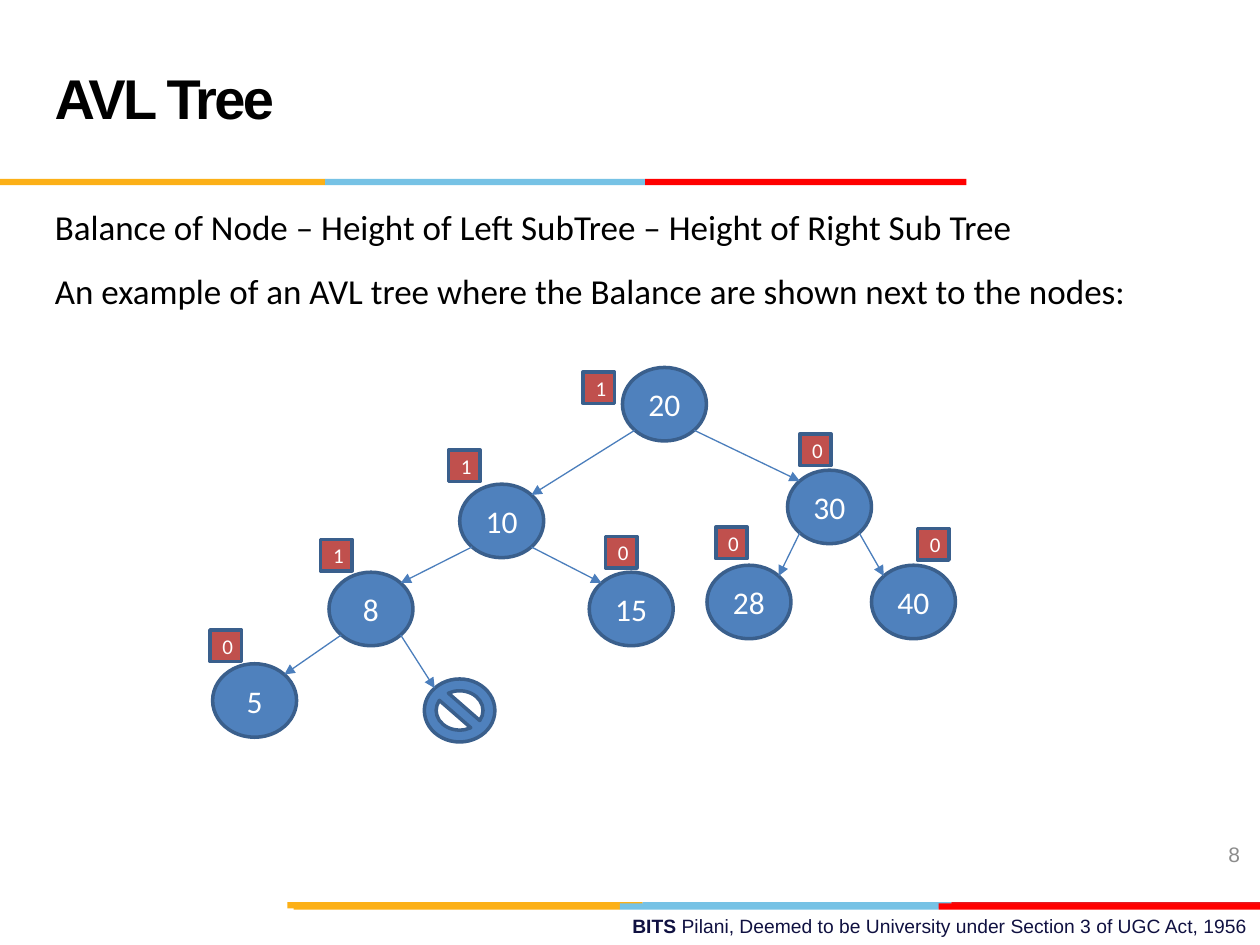
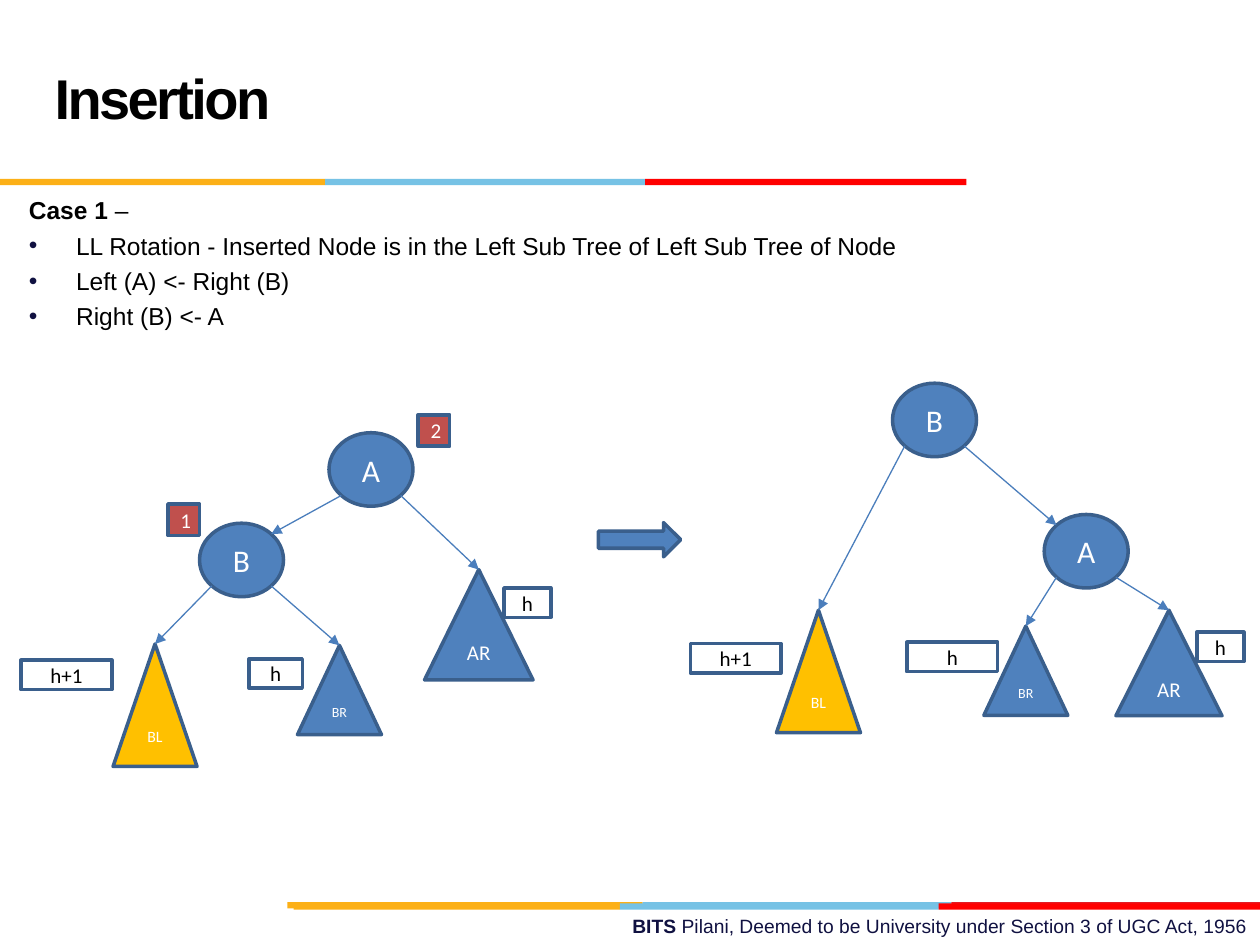
import math

import lxml.etree
import pptx
import pptx.dml.color
import pptx.enum.shapes
import pptx.enum.text
import pptx.oxml.ns
import pptx.util

Pt = pptx.util.Pt
RGB = pptx.dml.color.RGBColor
FORM = pptx.enum.shapes.MSO_SHAPE
ALIGN = pptx.enum.text.PP_ALIGN
ANCHOR = pptx.enum.text.MSO_ANCHOR
qn = pptx.oxml.ns.qn

BLACK = RGB(0, 0, 0)
WHITE = RGB(255, 255, 255)
NAVY = RGB(0x10, 0x11, 0x41)
GREY = RGB(0x8C, 0x8C, 0x8C)
BLUE = RGB(0x4F, 0x81, 0xBD)
EDGE = RGB(0x3A, 0x5F, 0x8C)
ARROW = RGB(0x4B, 0x7E, 0xBC)
BRICK = RGB(0xC0, 0x50, 0x4D)
GOLD = RGB(0xFF, 0xC0, 0x00)
ORANGE = RGB(0xFC, 0xB0, 0x17)
SKY = RGB(0x76, 0xC2, 0xE5)
RED = RGB(0xFF, 0, 0)
CRIMSON = RGB(0xE3, 0x1C, 0x24)

BANDS = [
    (515.5, (164.2, 367.2, 543.6, 720), (ORANGE, SKY, CRIMSON)),
    (516.2, (167.8, 354.2, 536.4, 720), (ORANGE, SKY, RED)),
    (102.2, (0, 185.8, 368.6, 552.2), (ORANGE, SKY, RED)),
]
NODE_W, NODE_H, BADGE = 48, 42, 18
DIAG = math.sqrt(0.5)


def lengths(*values):
    """Turn numbers of points into lengths."""
    return [Pt(value) for value in values]


def write(frame, text, lead="", size=18, color=BLACK, face="Arial", bold=False,
          align=ALIGN.LEFT, anchor=ANCHOR.TOP, before=0, dots=False):
    """Fill a frame with one paragraph per line, after an optional bold lead."""
    frame.word_wrap = True
    frame.auto_size = pptx.enum.text.MSO_AUTO_SIZE.NONE
    frame.vertical_anchor = anchor
    for i, line in enumerate(text.split("\n")):
        para = frame.add_paragraph() if i else frame.paragraphs[0]
        para.alignment = align
        if i:
            para.space_before = Pt(before)
        if dots and i:
            bullet(para)
        parts = [(line, bold)]
        if lead and not i:
            parts.insert(0, (lead, True))
        for words, strong in parts:
            run = para.add_run()
            run.text = words
            font = run.font
            font.name, font.size, font.bold = face, Pt(size), strong
            font.color.rgb = color


def bullet(para):
    """Give a paragraph a hanging navy bullet."""
    props = para._p.get_or_add_pPr()
    props.set("marL", str(Pt(27)))
    props.set("indent", str(-Pt(27)))
    tint = lxml.etree.SubElement(props, qn("a:buClr"))
    lxml.etree.SubElement(tint, qn("a:srgbClr"), val=str(NAVY))
    lxml.etree.SubElement(props, qn("a:buFont"), typeface="Arial")
    lxml.etree.SubElement(props, qn("a:buChar"), char="•")


def note(slide, box, text, **style):
    """Place a text box."""
    write(slide.shapes.add_textbox(*lengths(*box)).text_frame, text, **style)


def shape(slide, form, box, fill, text="", edge=EDGE, size=18, color=WHITE):
    """Place a preset shape with centred text."""
    item = slide.shapes.add_shape(form, *lengths(*box))
    item.shadow.inherit = False
    item.fill.solid()
    item.fill.fore_color.rgb = fill
    if edge is None:
        item.line.fill.background()
    else:
        item.line.color.rgb = edge
        item.line.width = Pt(2)
    if text:
        write(item.text_frame, text, size=size, color=color, face="Calibri",
              align=ALIGN.CENTER, anchor=ANCHOR.MIDDLE)
    return item


def corner(item, side, level):
    """Find the diagonal point of an oval; side and level are -1 or 1."""
    return (round(item.left + item.width / 2 * (1 + side * DIAG)),
            round(item.top + item.height / 2 * (1 + level * DIAG)))


def link(slide, parent, child):
    """Draw an arrow from a parent down to its child."""
    side = 1 if child.left + child.width / 2 > parent.left + parent.width / 2 else -1
    line = slide.shapes.add_connector(
        pptx.enum.shapes.MSO_CONNECTOR.STRAIGHT,
        *corner(parent, side, 1), *corner(child, -side, -1))
    if child.auto_shape_type == FORM.ISOSCELES_TRIANGLE:
        line.end_connect(child, 0)
    line.line.color.rgb = ARROW
    line.line.width = Pt(0.75)
    lxml.etree.SubElement(line.line._get_or_add_ln(), qn("a:tailEnd"), type="triangle")
    lxml.etree.SubElement(line._element.spPr, qn("a:effectLst"))


def tree(slide, box, nodes, leaves, links, badges=(), labels=()):
    """Draw a tree whose parts are placed from the corner of its box."""
    left, top = box
    items = {}
    for name, x, y in nodes:
        items[name] = shape(slide, FORM.FLOWCHART_CONNECTOR,
                            (left + x, top + y, NODE_W, NODE_H), BLUE, name)
    for name, form, x, y, wide, high, fill, size in leaves:
        text = name if form == FORM.ISOSCELES_TRIANGLE else ""
        items[name] = shape(slide, form, (left + x, top + y, wide, high),
                            fill, text, size=size)
    for parent, kids in links.items():
        for child in kids:
            link(slide, items[parent], items[child])
    for text, x, y in badges:
        shape(slide, FORM.RECTANGLE, (left + x, top + y, BADGE, BADGE),
              BRICK, text, size=12)
    for text, x, y, wide in labels:
        shape(slide, FORM.RECTANGLE, (left + x, top + y, wide, 16.8),
              WHITE, text, size=12, color=BLACK)


def frame(deck, title):
    """Add a slide with its title, colour bands and footer."""
    slide = deck.slides.add_slide(deck.slide_layouts[5])
    for top, edges, colors in BANDS:
        for start, end, color in zip(edges, edges[1:], colors):
            shape(slide, FORM.RECTANGLE, (start, top, end - start, 3.6), color, edge=None)
    note(slide, (257.8, 519, 462.2, 20.9),
         "Pilani, Deemed to be University under Section 3 of UGC Act, 1956",
         lead="BITS ", size=11, color=NAVY, align=ALIGN.RIGHT)
    head = slide.shapes.title
    head.left, head.top, head.width, head.height = lengths(24, 12, 540, 90)
    write(head.text_frame, title, size=32, bold=True, anchor=ANCHOR.MIDDLE)
    para = head.text_frame.paragraphs[0]
    para.line_spacing = Pt(36)
    para.runs[0]._r.get_or_add_rPr().set("spc", "-150")
    return slide


def sample(deck):
    """Build the slide with the sample tree and its balances."""
    slide = frame(deck, "AVL Tree")
    note(slide, (547.9, 473.8, 167.8, 28.8), "8", size=12, color=GREY,
         align=ALIGN.RIGHT, anchor=ANCHOR.MIDDLE)
    note(slide, (24.2, 113.8, 636, 69),
         "Balance of Node – Height of Left SubTree – Height of Right Sub Tree\n"
         "An example of an AVL tree where the Balance are shown next to the nodes:",
         size=20, face="Calibri", before=12.5)
    tree(slide, (120, 210),
         nodes=[("20", 235.7, 0), ("10", 142.7, 66.7), ("30", 330, 58.7),
                ("8", 68, 117), ("15", 216.7, 117), ("28", 284, 113),
                ("40", 378, 113), ("5", 1.5, 169.3)],
         leaves=[("none", FORM.NO_SYMBOL, 122.5, 178, 40.3, 36, BLUE, 18)],
         links={"20": ("10", "30"), "10": ("8", "15"),
                "30": ("28", "40"), "8": ("5", "none")},
         badges=[("1", 213.2, 2.5), ("1", 136.3, 47.2), ("0", 337, 38),
                 ("1", 63.2, 98.2), ("0", 226, 96.5), ("0", 289, 91.2),
                 ("0", 404.3, 92), ("0", 0, 150)])
    return slide


def rotate(deck):
    """Build the slide with the trees before and after the rotation."""
    slide = frame(deck, "Insertion")
    note(slide, (9.4, 108, 689, 105),
         "–\n"
         "LL Rotation - Inserted Node is in the Left Sub Tree of Left Sub Tree of Node\n"
         "Left (A) <- Right (B)\n"
         "Right (B) <- A",
         lead="Case 1 ", size=14, before=3.4, dots=True)
    wedge = FORM.ISOSCELES_TRIANGLE
    tree(slide, (12, 237),
         nodes=[("A", 176, 10.3), ("B", 102, 62)],
         leaves=[("AR", wedge, 230.6, 88.5, 62, 63, BLUE, 12),
                 ("BL", wedge, 52.6, 131, 48, 70, GOLD, 9),
                 ("BR", wedge, 158, 131.8, 48, 51, BLUE, 8)],
         links={"A": ("B", "AR"), "B": ("BL", "BR")},
         badges=[("2", 227, 0), ("1", 84, 51)],
         labels=[("h+1", 0, 140.3, 52), ("h", 130.3, 139.5, 30.5), ("h", 276, 99, 26.8)])
    shape(slide, FORM.RIGHT_ARROW, (342, 298.6, 47, 19.6), BLUE)
    tree(slide, (394.5, 219),
         nodes=[("B", 115.5, 0), ("A", 202.2, 75)],
         leaves=[("BL", wedge, 49.2, 129.7, 48, 70, GOLD, 9),
                 ("BR", wedge, 167.7, 138.8, 48, 51, BLUE, 8),
                 ("AR", wedge, 243.2, 129.7, 60.6, 60.3, BLUE, 12)],
         links={"B": ("BL", "A"), "A": ("BR", "AR")},
         labels=[("h+1", 0, 148.8, 52), ("h", 123.7, 148, 52), ("h", 289.5, 142.2, 26.8)])
    return slide


def main():
    """Build and save the deck."""
    deck = pptx.Presentation()
    deck.slide_width, deck.slide_height = lengths(720, 540)
    sample(deck)
    rotate(deck)
    deck.save("out.pptx")


if __name__ == "__main__":
    main()
